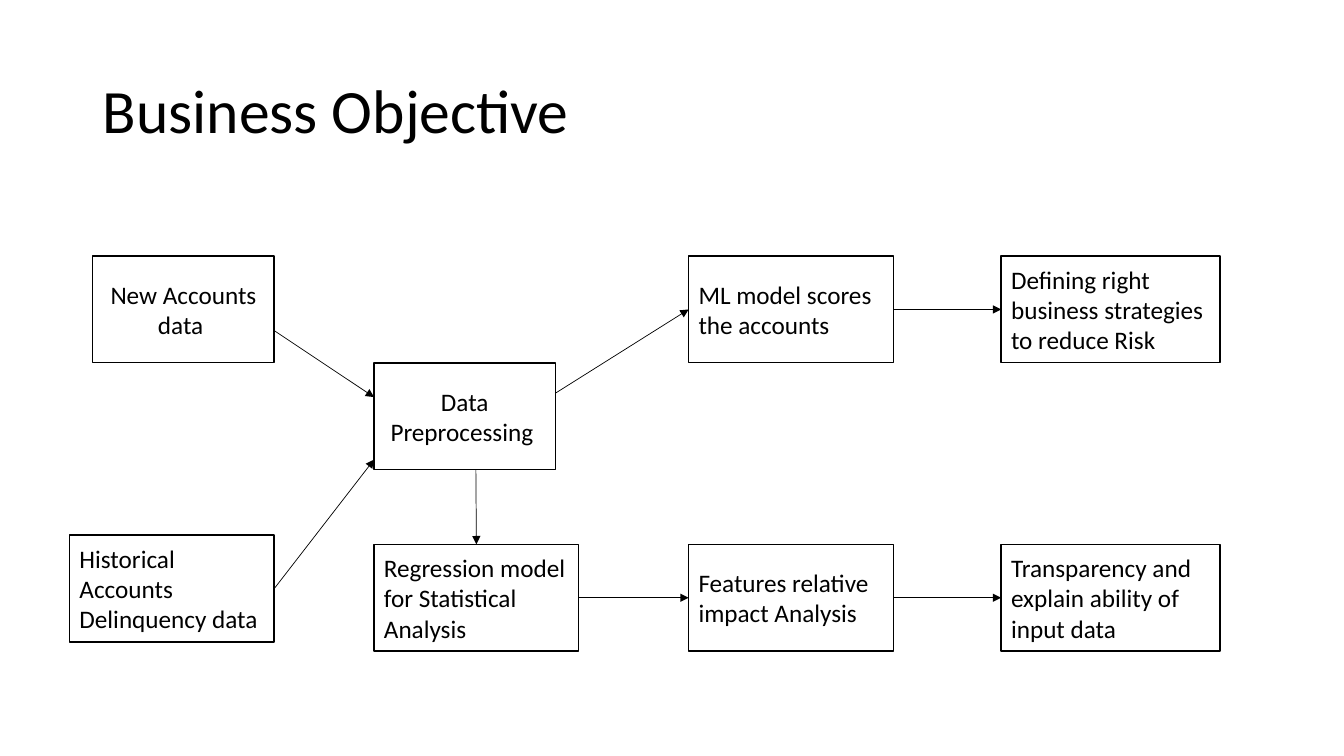
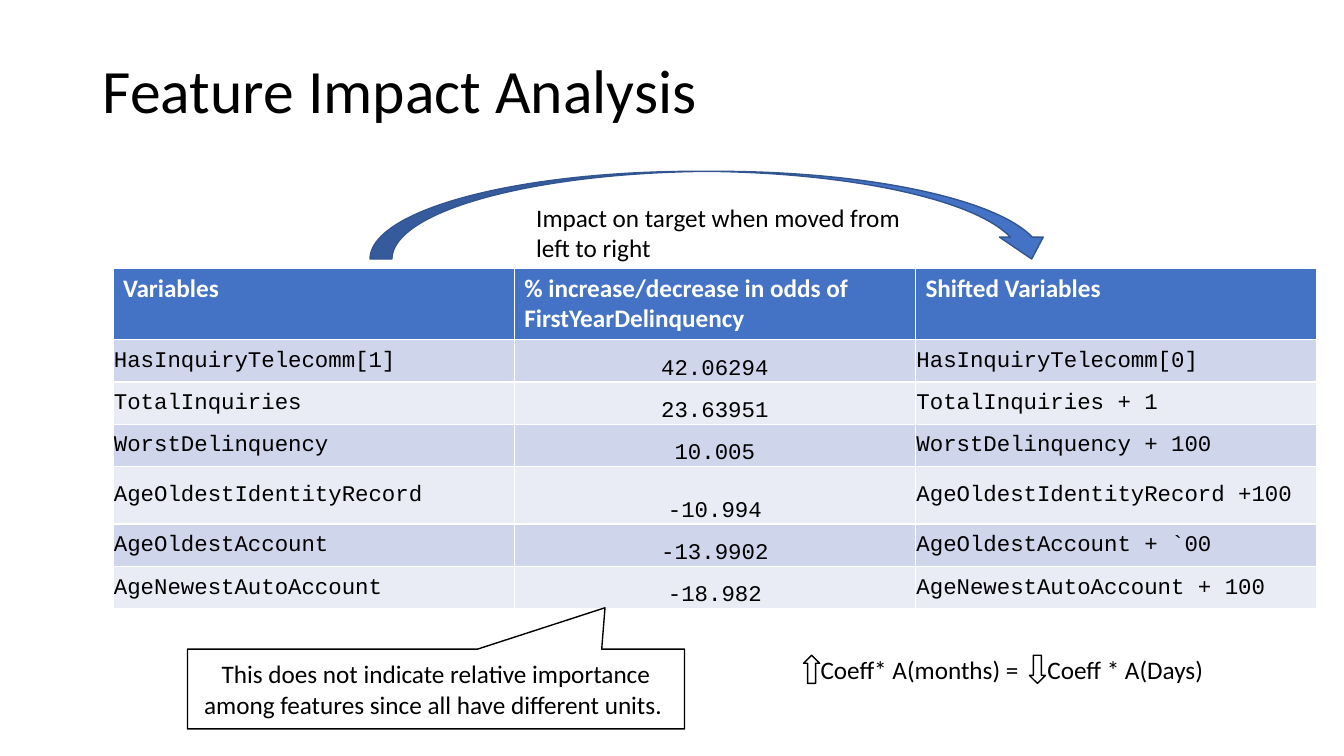
import pptx
import pptx.util
import pptx.dml.color
import pptx.enum.shapes
import pptx.enum.text
import pptx.oxml.ns
import lxml.etree

PX = 9144
COLORS = {"ink": "000000", "paper": "FFFFFF", "blue": "4472C4", "edge": "325491",
          "band_dark": "CFD5EA", "band_light": "E9EBF5"}
RGB = {name: pptx.dml.color.RGBColor.from_string(value) for name, value in COLORS.items()}
SHAPE = pptx.enum.shapes.MSO_SHAPE
ALIGN = pptx.enum.text.PP_ALIGN
ANCHOR = pptx.enum.text.MSO_ANCHOR
TITLE_ONLY = 5


def write(frame, text, size=18, font="Calibri", color="ink", bold=False, align=ALIGN.LEFT):
    frame.word_wrap = True
    frame.text = text
    para = frame.paragraphs[0]
    para.alignment = align
    for span in para.runs:
        span.font.size = pptx.util.Pt(size)
        span.font.name = font
        span.font.bold = bold
        span.font.color.rgb = RGB[color]
    return para


def add_box(page, kind, place, fill=None, line="ink"):
    box = page.shapes.add_shape(kind, *[value * PX for value in place])
    box.shadow.inherit = False
    if fill:
        box.fill.solid()
        box.fill.fore_color.rgb = RGB[fill]
    else:
        box.fill.background()
    box.line.color.rgb = RGB[line]
    box.line.width = pptx.util.Pt(1)
    box.text_frame.vertical_anchor = ANCHOR.MIDDLE
    return box


deck = pptx.Presentation()
deck.slide_width = 1333 * PX
deck.slide_height = 750 * PX

pages = []
for heading, height in [("Business Objective", 145), ("Feature Impact Analysis", 106)]:
    page = deck.slides.add_slide(deck.slide_layouts[TITLE_ONLY])
    title = page.shapes.title
    title.left, title.top, title.width, title.height = 92 * PX, 40 * PX, 1150 * PX, height * PX
    title.text_frame.vertical_anchor = ANCHOR.MIDDLE
    write(title.text_frame, heading, size=44).line_spacing = 0.9
    pages.append(page)
flow_page, impact_page = pages

BOX_HEIGHT = 106
steps = [
    ("new", 92, 254, 180, "New Accounts data ", ALIGN.CENTER),
    ("prep", 371, 360, 180, "Data Preprocessing ", ALIGN.CENTER),
    ("scores", 683, 254, 203, "ML model scores the accounts", ALIGN.LEFT),
    ("regression", 371, 540, 203, "Regression model for Statistical Analysis", ALIGN.LEFT),
    ("features", 683, 540, 203, "Features relative impact Analysis", ALIGN.LEFT),
    ("transparency", 993, 540, 217, "Transparency and explain ability of input data", ALIGN.LEFT),
    ("strategies", 993, 254, 217, "Defining right business strategies to reduce Risk", ALIGN.LEFT),
    ("history", 69, 531, 203, "Historical Accounts Delinquency data", ALIGN.LEFT),
]
boxes = {}
for name, left, top, width, text, align in steps:
    box = add_box(flow_page, SHAPE.RECTANGLE, (left, top, width, BOX_HEIGHT), fill="paper")
    write(box.text_frame, text, align=align)
    boxes[name] = box

TOP, LEFT, RIGHT = 0, 1, 3
arrows = [
    ((272, 328, 371, 394), None, None),
    ((272, 584, 371, 456), ("history", RIGHT), None),
    ((551, 390, 683, 307), None, ("scores", LEFT)),
    ((574, 593, 683, 593), ("regression", RIGHT), ("features", LEFT)),
    ((886, 307, 993, 307), ("scores", RIGHT), ("strategies", LEFT)),
    ((886, 593, 993, 593), ("features", RIGHT), ("transparency", LEFT)),
    ((472, 466, 472, 540), None, ("regression", TOP)),
]
for points, start, finish in arrows:
    arrow = flow_page.shapes.add_connector(
        pptx.enum.shapes.MSO_CONNECTOR.STRAIGHT, *[value * PX for value in points])
    if start:
        arrow.begin_connect(boxes[start[0]], start[1])
    if finish:
        arrow.end_connect(boxes[finish[0]], finish[1])
    arrow.line.color.rgb = RGB["ink"]
    arrow.line.width = pptx.util.Pt(0.5)
    outline = arrow.line._get_or_add_ln()
    lxml.etree.SubElement(outline, pptx.oxml.ns.qn("a:tailEnd"), type="triangle")
    lxml.etree.SubElement(arrow._element.spPr, pptx.oxml.ns.qn("a:effectLst"))

rows = [
    ("Variables", "% increase/decrease in odds of FirstYearDelinquency", "Shifted Variables"),
    ("HasInquiryTelecomm[1]", "42.06294", "HasInquiryTelecomm[0]"),
    ("TotalInquiries", "23.63951", "TotalInquiries + 1"),
    ("WorstDelinquency", "10.005", "WorstDelinquency + 100"),
    ("AgeOldestIdentityRecord", "-10.994", "AgeOldestIdentityRecord +100"),
    ("AgeOldestAccount", "-13.9902", "AgeOldestAccount + `00"),
    ("AgeNewestAutoAccount", "-18.982", "AgeNewestAutoAccount + 100"),
]
heights = [70, 42, 42, 42, 57, 42, 42]
table = impact_page.shapes.add_table(
    len(rows), 3, 112 * PX, 266 * PX, 1194 * PX, sum(heights) * PX).table
for r, (row, height) in enumerate(zip(rows, heights)):
    table.rows[r].height = height * PX
    for c, text in enumerate(row):
        cell = table.cell(r, c)
        cell.fill.solid()
        if r == 0:
            cell.fill.fore_color.rgb = RGB["blue"]
            write(cell.text_frame, text, color="paper", bold=True)
            continue
        cell.fill.fore_color.rgb = RGB["band_dark" if r % 2 else "band_light"]
        cell.margin_left = cell.margin_right = cell.margin_top = PX
        cell.margin_bottom = 0
        cell.vertical_anchor = ANCHOR.BOTTOM if c == 1 else ANCHOR.MIDDLE
        write(cell.text_frame, text, size=16, font="Courier New",
              align=ALIGN.CENTER if c == 1 else ALIGN.LEFT)

add_box(impact_page, SHAPE.CURVED_DOWN_ARROW, (367, 170, 678, 87), fill="blue", line="edge")

captions = [
    ((522, 196, 393, 71), "Impact on target when moved from left to right"),
    ((804, 644, 426, 40), "Coeff* A(months) =\tCoeff * A(Days)"),
]
for place, text in captions:
    caption = impact_page.shapes.add_textbox(*[value * PX for value in place])
    para = write(caption.text_frame, text)
    if "\t" in text:
        stops = lxml.etree.SubElement(para._p.get_or_add_pPr(), pptx.oxml.ns.qn("a:tabLst"))
        lxml.etree.SubElement(stops, pptx.oxml.ns.qn("a:tab"), pos=str(225 * PX), algn="l")

callout = add_box(impact_page, SHAPE.RECTANGULAR_CALLOUT, (186, 644, 493, 79))
callout.adjustments[0] = 0.34
callout.adjustments[1] = -1.02
write(callout.text_frame,
      "This does not indicate relative importance among features since all have different units. ",
      align=ALIGN.CENTER)

for kind, left in [(SHAPE.UP_ARROW, 797), (SHAPE.DOWN_ARROW, 1021)]:
    add_box(impact_page, kind, (left, 650, 16, 28))

deck.save("out.pptx")
